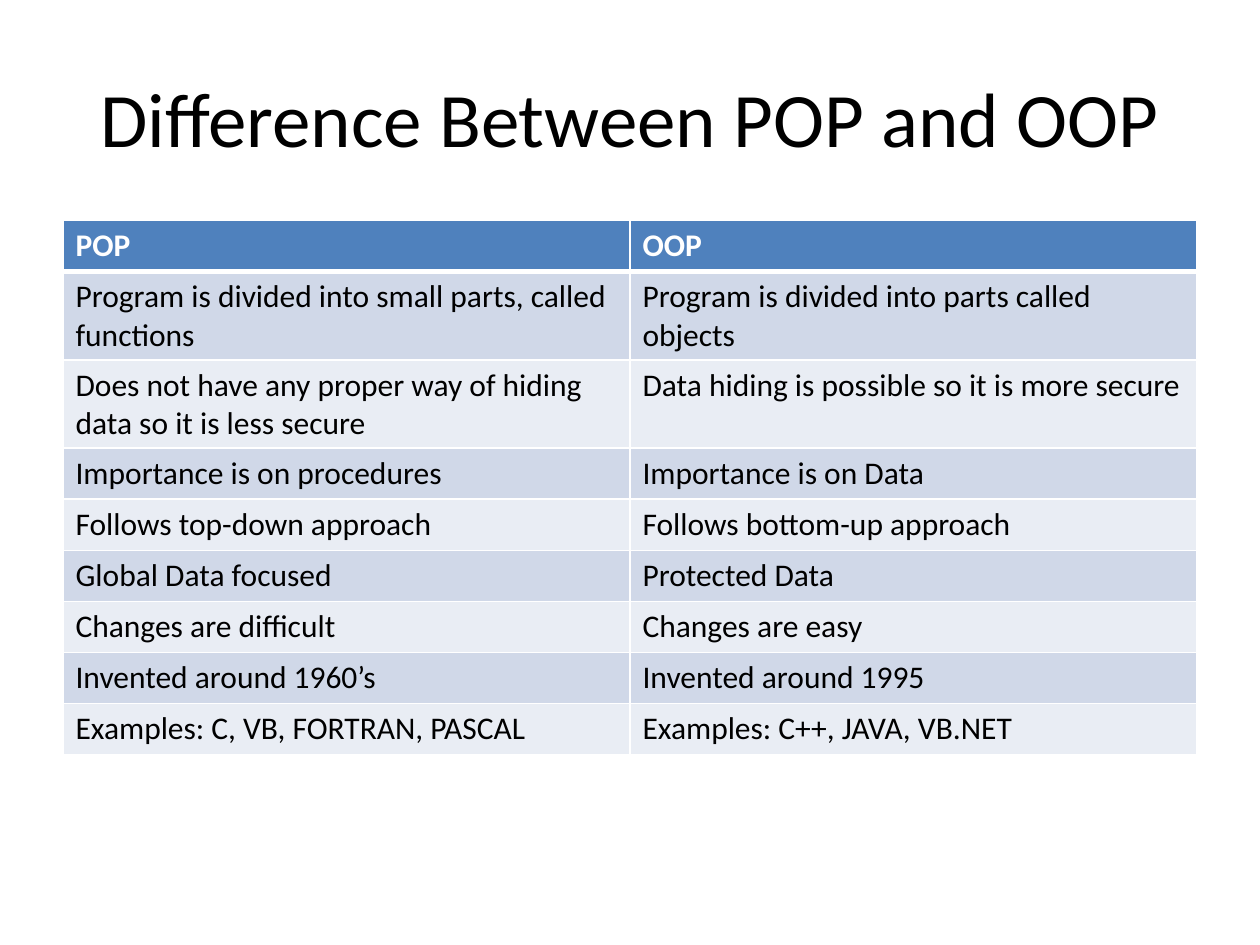
from lxml import etree
from pptx import Presentation
from pptx import util as u
from pptx.dml.color import RGBColor
from pptx.enum import text
from pptx.oxml import ns


def color(value):
    return RGBColor.from_string(value)


class Deck:
    font = "Calibri"
    black, white, header = "000000", "FFFFFF", "4F81BD"
    bands = ("D0D8E8", "E9EDF4")

    def __init__(self, width, height):
        self.presentation = Presentation()
        self.presentation.slide_width = u.Inches(width)
        self.presentation.slide_height = u.Inches(height)
        self.slide = self.presentation.slides.add_slide(self.presentation.slide_layouts[6])

    def add_text(self, frame, wording, ink, **formats):
        paragraph = frame.paragraphs[0]
        run = paragraph.add_run()
        run.text = wording
        for name, value in {"name": self.font, **formats}.items():
            setattr(run.font, name, value)
        run.font.color.rgb = color(ink)
        return paragraph

    def title(self, box, wording):
        shape = self.slide.shapes.add_textbox(*map(u.Inches, box))
        frame = shape.text_frame
        frame.word_wrap = True
        frame.vertical_anchor = text.MSO_ANCHOR.MIDDLE
        paragraph = self.add_text(frame, wording, self.black, size=u.Pt(44))
        paragraph.alignment = text.PP_ALIGN.CENTER

    def borders(self, cell, **widths):
        properties = cell._tc.get_or_add_tcPr()
        for side, width in widths.items():
            line = etree.SubElement(properties, ns.qn(f"a:ln{side}"), w=str(u.Pt(width)))
            fill = etree.SubElement(line, ns.qn("a:solidFill"))
            etree.SubElement(fill, ns.qn("a:srgbClr"), val=self.white)

    def table(self, box, rows):
        shape = self.slide.shapes.add_table(len(rows), len(rows[0]), *map(u.Inches, box))
        for i, row in enumerate(rows):
            is_header = i == 0
            for j, wording in enumerate(row):
                cell = shape.table.cell(i, j)
                self.borders(cell, L=1, R=1, T=3 if i == 1 else 1, B=3 if is_header else 1)
                cell.fill.solid()
                cell.fill.fore_color.rgb = color(self.header if is_header else self.bands[(i - 1) % 2])
                ink = self.white if is_header else self.black
                self.add_text(cell.text_frame, wording, ink, size=u.Pt(18), bold=is_header)


comparison = [
    ("POP", "OOP"),
    ("Program is divided into small parts, called functions",
     "Program is divided into parts called objects"),
    ("Does not have any proper way of hiding data so it is less secure",
     "Data hiding is possible so it is more secure"),
    ("Importance is on procedures", "Importance is on Data"),
    ("Follows top-down approach", "Follows bottom-up approach"),
    ("Global Data focused", "Protected Data"),
    ("Changes are difficult", "Changes are easy"),
    ("Invented around 1960’s", "Invented around 1995"),
    ("Examples: C, VB, FORTRAN, PASCAL", "Examples: C++, JAVA, VB.NET"),
]

deck = Deck(10, 7.5)
deck.title((0.5, 0.3, 9, 1.25), "Difference Between POP and OOP")
deck.table((0.5, 1.75, 9, 3.65), comparison)
deck.presentation.save("out.pptx")
